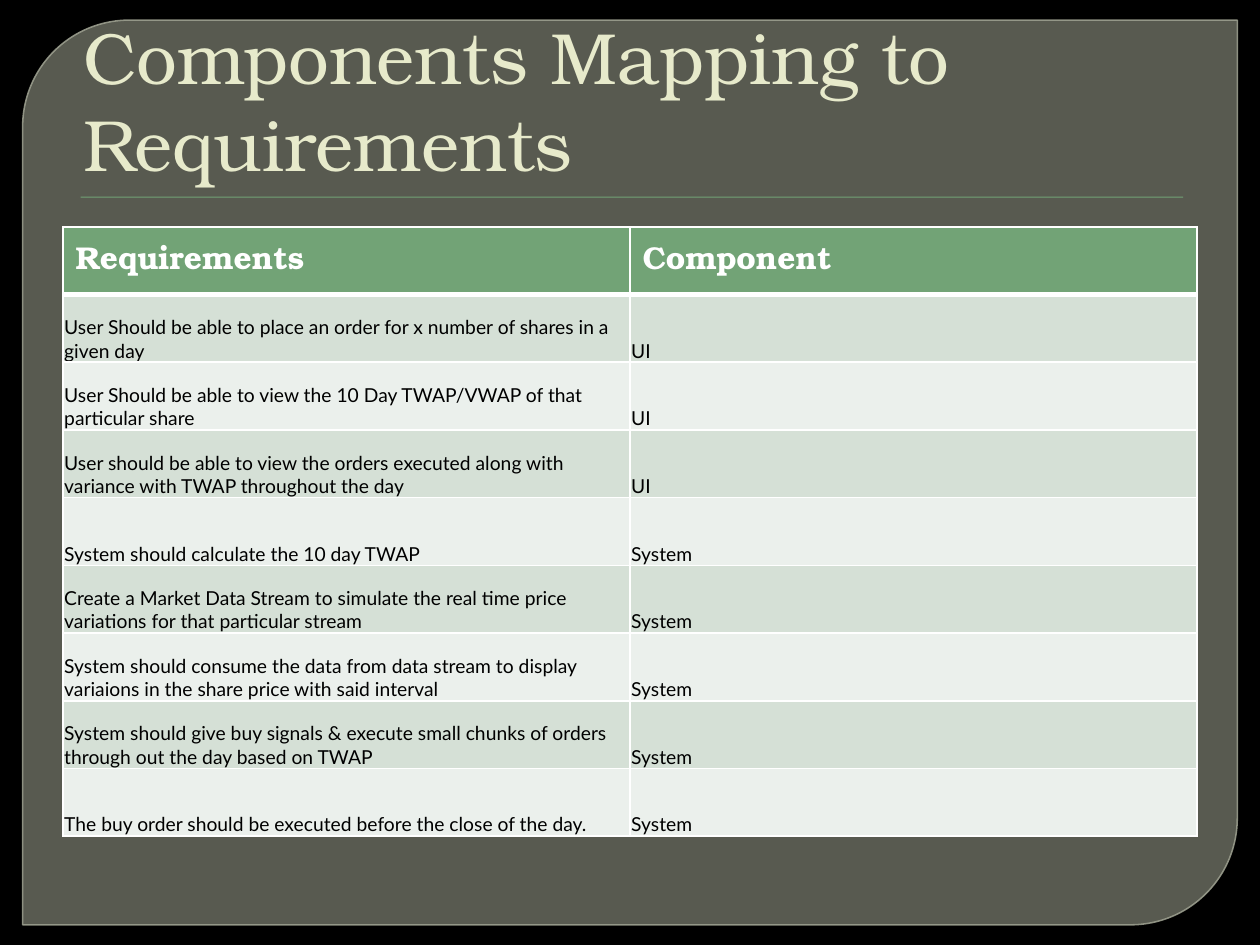
from pptx import Presentation
from pptx import util as u
from pptx.dml.color import RGBColor
from pptx.enum import shapes, text
from pptx.oxml import ns
from lxml import etree

COLORS = {
    "background": "000000", "panel": "888B7B", "panel_edge": "9DA090",
    "accent": "72A376", "title": "E7EACB", "white": "FFFFFF",
    "body": "000000", "band_dark": "D5E0D6", "band_light": "EBF0EC",
}
HEADING_FONT = "TeX Gyre Bonum"
BODY_FONT = "Lato"
HEADERS = ("Requirements", "Component")
REQUIREMENTS = [
    ("User Should be able to place an order for x number of shares in a given day", "UI"),
    ("User Should be able to view the 10 Day TWAP/VWAP of that particular share", "UI"),
    ("User should be able to view the orders executed along with variance with TWAP throughout the day", "UI"),
    ("System should calculate the 10 day TWAP", "System"),
    ("Create a Market Data Stream to simulate the real time price variations for that particular stream", "System"),
    ("System should consume the data from data stream to display variaions in the share price with said interval", "System"),
    ("System should give buy signals & execute small chunks of orders through out the day based on TWAP", "System"),
    ("The buy order should be executed before the close of the day.", "System"),
]


def color(name):
    return RGBColor.from_string(COLORS[name])


def box(*lengths):
    return [u.Inches(length) for length in lengths]


def set_font(paragraph, face, size, shade, bold=False):
    font = paragraph.font
    font.name, font.size, font.bold = face, u.Pt(size), bold
    font.color.rgb = color(shade)


def set_alpha(fill_parent, percent):
    shade = fill_parent.find(ns.qn("a:solidFill"))[0]
    etree.SubElement(shade, ns.qn("a:alpha"), val=str(percent * 1000))


def add_filled(slide, kind, place, shade):
    shape = slide.shapes.add_shape(kind, *box(*place))
    shape.shadow.inherit = False
    shape.fill.solid()
    shape.fill.fore_color.rgb = color(shade)
    shape.line.fill.background()
    return shape


def add_backdrop(slide):
    slide.background.fill.solid()
    slide.background.fill.fore_color.rgb = color("background")
    panel = add_filled(slide, shapes.MSO_SHAPE.ROUND_2_DIAG_RECTANGLE,
                       (0.18, 0.16, 9.64, 7.18), "panel")
    panel.adjustments[0] = 0.118
    panel.adjustments[1] = 0
    panel.line.color.rgb = color("panel_edge")
    panel.line.width = u.Pt(0.87)
    properties = panel._element.spPr
    set_alpha(properties, 65)
    set_alpha(properties.find(ns.qn("a:ln")), 88)
    add_filled(slide, shapes.MSO_SHAPE.RECTANGLE, (0.64, 1.56, 8.75, 0.01), "accent")


def add_title(slide, wording):
    title = slide.shapes.title
    title.left, title.top, title.width, title.height = box(0.5, 0.28, 9, 1.25)
    frame = title.text_frame
    frame.text = wording
    frame.word_wrap = True
    frame.auto_size = text.MSO_AUTO_SIZE.NONE
    frame.vertical_anchor = text.MSO_ANCHOR.BOTTOM
    paragraph = frame.paragraphs[0]
    paragraph.alignment = text.PP_ALIGN.LEFT
    paragraph._p.get_or_add_pPr().set("marL", str(u.Inches(0.06)))
    set_font(paragraph, HEADING_FONT, 41.4, "title")
    slide.shapes._spTree.append(title._element)


def set_borders(cell, bottom, top):
    properties = cell._tc.get_or_add_tcPr()
    widths = {"L": 1, "R": 1, "T": top, "B": bottom}
    for index, (side, width) in enumerate(widths.items()):
        line = etree.Element(ns.qn(f"a:ln{side}"), w=str(u.Pt(width)))
        fill = etree.SubElement(line, ns.qn("a:solidFill"))
        etree.SubElement(fill, ns.qn("a:srgbClr"), val=COLORS["white"])
        properties.insert(index, line)


def fill_cell(cell, wording, row):
    cell.text = wording
    paragraph = cell.text_frame.paragraphs[0]
    cell.fill.solid()
    if row == 0:
        shade = "accent"
        set_font(paragraph, HEADING_FONT, 18, "white", bold=True)
    else:
        shade = "band_dark" if row % 2 else "band_light"
        set_font(paragraph, BODY_FONT, 11, "body")
        cell.vertical_anchor = text.MSO_ANCHOR.BOTTOM
        cell.margin_left = cell.margin_right = cell.margin_top = u.Inches(0.01)
        cell.margin_bottom = 0
    cell.fill.fore_color.rgb = color(shade)
    set_borders(cell, bottom=3 if row == 0 else 1, top=3 if row == 1 else 1)


def add_mapping(slide):
    entries = [HEADERS, *REQUIREMENTS]
    mapping = slide.shapes.add_table(
        len(entries), len(HEADERS), *box(0.5, 1.8, 9, 4.84)).table
    for row, entry in enumerate(entries):
        for column, wording in enumerate(entry):
            fill_cell(mapping.cell(row, column), wording, row)


def main():
    deck = Presentation()
    deck.slide_width, deck.slide_height = box(10, 7.5)
    slide = deck.slides.add_slide(deck.slide_layouts[5])
    add_backdrop(slide)
    add_title(slide, "Components Mapping to Requirements")
    add_mapping(slide)
    deck.save("out.pptx")


main()
